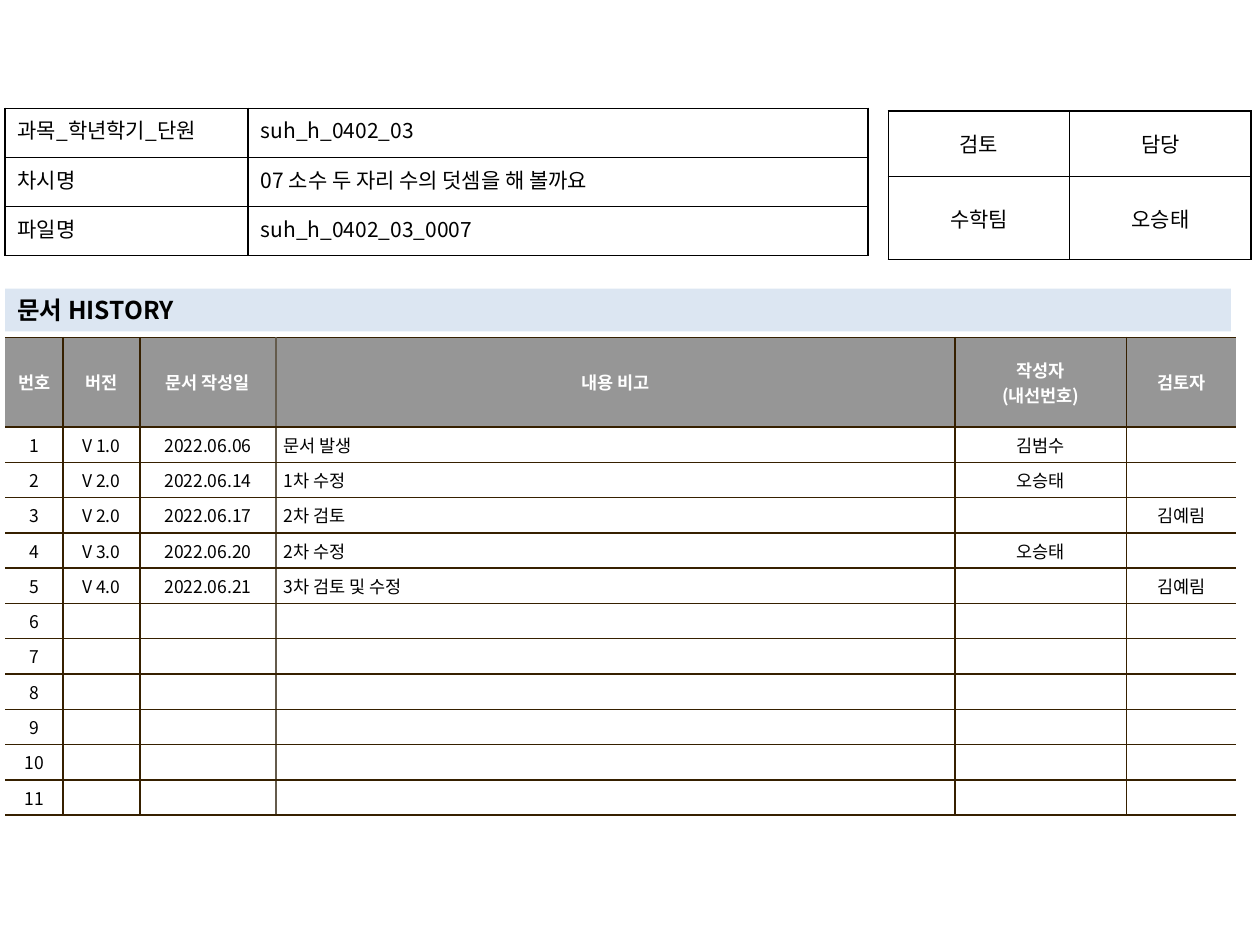
from lxml.etree import SubElement
from pptx import Presentation
from pptx.dml.color import RGBColor
from pptx.enum.shapes import MSO_SHAPE as Shape
from pptx.enum.text import MSO_ANCHOR as Anchor, PP_ALIGN as Align
from pptx.oxml.ns import qn
from pptx.util import Inches, Pt

FONT = "Noto Sans CJK KR"
BLACK = RGBColor(0x00, 0x00, 0x00)
WHITE = RGBColor(0xFF, 0xFF, 0xFF)
GRAY = RGBColor(0x96, 0x96, 0x96)
BLUE = RGBColor(0xDC, 0xE6, 0xF2)
BROWN = RGBColor(0x36, 0x20, 0x00)
TAUPE = RGBColor(0x64, 0x5B, 0x4C)

INFO = [
    ("과목_학년학기_단원", "suh_h_0402_03"),
    ("차시명", "07 소수 두 자리 수의 덧셈을 해 볼까요"),
    ("파일명", "suh_h_0402_03_0007"),
]
STAFF = [("검토", "담당"), ("수학팀", "오승태")]
HEADS = ("번호", "버전", "문서 작성일", "내용 비고", "작성자\n(내선번호)", "검토자")
LOG = [
    ("V 1.0", "2022.06.06", "문서 발생", "김범수", ""),
    ("V 2.0", "2022.06.14", "1차 수정", "오승태", ""),
    ("V 2.0", "2022.06.17", "2차 검토", "", "김예림"),
    ("V 3.0", "2022.06.20", "2차 수정", "오승태", ""),
    ("V 4.0", "2022.06.21", "3차 검토 및 수정", "", "김예림"),
]
LINES = 11
NOTE = 3  # column of the remarks


def style(para, size, color=BLACK, bold=False, align=Align.LEFT):
    para.alignment = align
    font = para.font
    font.size, font.bold, font.name = Pt(size), bold, FONT
    font.color.rgb = color
    props = para._p.get_or_add_pPr().get_or_add_defRPr()
    SubElement(props, qn("a:ea"), typeface=FONT)
    if not para.runs:
        SubElement(para._p, qn("a:endParaRPr"), sz=str(size * 100))


def edge(cell, side, color):
    """Draw one cell border, or none when color is None."""
    line = SubElement(cell._tc.get_or_add_tcPr(), qn(f"a:ln{side}"), w=str(Pt(1)))
    if color is None:
        SubElement(line, qn("a:noFill"))
    else:
        fill = SubElement(line, qn("a:solidFill"))
        SubElement(fill, qn("a:srgbClr"), val=str(color))


def fill_cell(cell, text, edges, back, anchor, pad, **look):
    for side, color in zip("LRTB", edges):
        edge(cell, side, color)
    if back is None:
        cell.fill.background()
    else:
        cell.fill.solid()
        cell.fill.fore_color.rgb = back
    cell.vertical_anchor = anchor
    cell.margin_left = cell.margin_right = Inches(pad[0])
    cell.margin_top = cell.margin_bottom = Inches(pad[1])
    cell.text_frame.text = text
    for para in cell.text_frame.paragraphs:
        style(para, **look)


def add_grid(slide, left, top, cols, rows):
    frame = slide.shapes.add_table(
        len(rows), len(cols), Inches(left), Inches(top),
        Inches(sum(cols)), Inches(sum(rows)))
    table = frame.table
    table.first_row = table.horz_banding = False
    for col, width in zip(table.columns, cols):
        col.width = Inches(width)
    for row, height in zip(table.rows, rows):
        row.height = Inches(height)
    return table


def add_box(slide, left, top, cols, rows, data, anchor, aligns):
    """Add a plain table with black borders all round."""
    table = add_grid(slide, left, top, cols, rows)
    for r, row in enumerate(data):
        for c, text in enumerate(row):
            fill_cell(table.cell(r, c), text, [BLACK] * 4, None, anchor,
                      (0.1, 0.05), size=12, align=aligns[c])


def add_log(slide):
    cols = [0.46, 0.61, 1.08, 5.39, 1.36, 0.87]
    table = add_grid(slide, 0.04, 2.68, cols, [0.71] + [0.25] * LINES)
    blank = ("",) * (len(cols) - 1)
    body = LOG + [blank] * (LINES - len(LOG))
    data = [HEADS] + [(str(n), *row) for n, row in enumerate(body, 1)]
    # Vertical lines: open at both ends, lighter before the remarks
    rules = [None] + [BROWN] * (len(cols) - 1) + [None]
    rules[NOTE] = TAUPE
    for r, row in enumerate(data):
        head = r == 0
        for c, text in enumerate(row):
            note = c == NOTE and not head
            cell = table.cell(r, c)
            fill_cell(cell, text, (rules[c], rules[c + 1], BROWN, BROWN),
                      GRAY if head else WHITE, Anchor.MIDDLE, (0.06, 0.04),
                      size=10, color=WHITE if head else BLACK, bold=head,
                      align=Align.LEFT if note else Align.CENTER)
            if note:
                props = cell.text_frame.paragraphs[0]._p.get_or_add_pPr()
                props.set("marL", str(Inches(0.19)))
                props.set("indent", str(-Inches(0.19)))


def add_title(slide):
    bar = slide.shapes.add_shape(
        Shape.RECTANGLE, Inches(0.04), Inches(2.29), Inches(9.73), Inches(0.34))
    bar.shadow.inherit = False
    bar.fill.solid()
    bar.fill.fore_color.rgb = BLUE
    bar.line.fill.background()
    text = bar.text_frame
    text.vertical_anchor = Anchor.MIDDLE
    text.text = "문서 HISTORY"
    style(text.paragraphs[0], 14, bold=True)


def main():
    deck = Presentation()
    deck.slide_width, deck.slide_height = Inches(10), Inches(7.5)
    slide = deck.slides.add_slide(deck.slide_layouts[6])

    # Document history
    add_log(slide)
    # Review and charge
    add_box(slide, 7.05, 0.88, [1.44, 1.44], [0.52, 0.66], STAFF,
            Anchor.MIDDLE, [Align.CENTER] * 2)
    # History heading
    add_title(slide)
    # Lesson details
    add_box(slide, 0.04, 0.86, [1.93, 4.92], [0.39] * 3, INFO,
            Anchor.TOP, [Align.JUSTIFY, Align.LEFT])

    deck.save("out.pptx")


if __name__ == "__main__":
    main()
